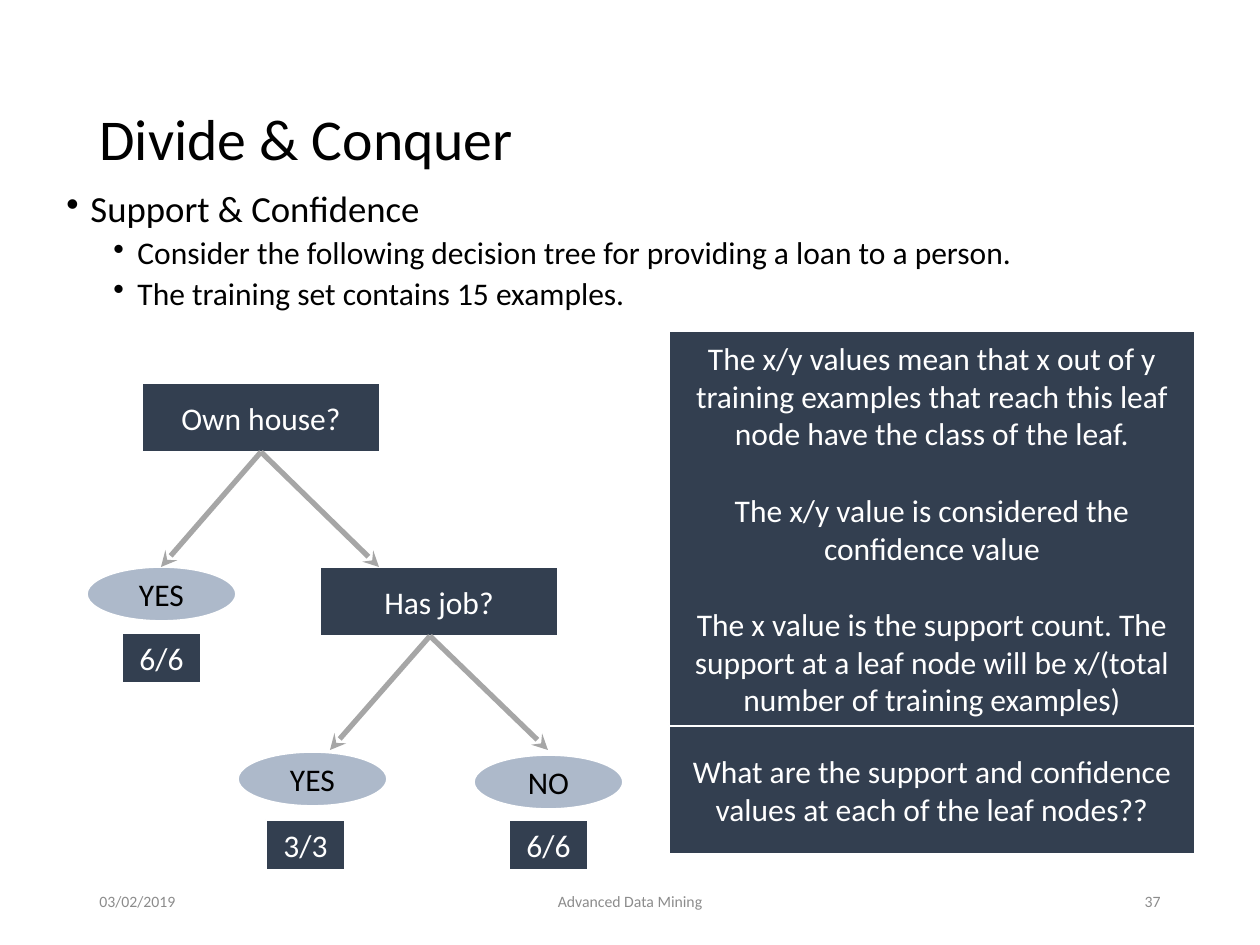
from pptx import Presentation
from pptx.dml.color import RGBColor as RGB
from pptx.enum.shapes import MSO_CONNECTOR as LINE, MSO_SHAPE as SHAPE
from pptx.enum.text import MSO_ANCHOR as ANCHOR, PP_ALIGN as ALIGN
from pptx.util import Pt
from lxml import etree

THEME = {
    "font": "Calibri",
    "ink": RGB.from_string("000000"),
    "paper": RGB.from_string("FFFFFF"),
    "navy": RGB.from_string("333F50"),
    "leaf": RGB.from_string("ADB9CA"),
    "arrow": RGB.from_string("A6A6A6"),
    "grey": RGB.from_string("8C8C8C"),
    "title": 33, "lead": 21, "body": 18, "foot": 9,
}
NS = "{http://schemas.openxmlformats.org/drawingml/2006/main}"


def px(*vals):
    return [round(v * 914400 / 126) for v in vals]


def write(shape, lines, size, color, align, gap=0):
    frame = shape.text_frame
    frame.word_wrap = True
    frame.vertical_anchor = ANCHOR.MIDDLE
    for i, line in enumerate(lines):
        para = frame.paragraphs[0] if i == 0 else frame.add_paragraph()
        para.text = line
        para.alignment = align
        para.font.name = THEME["font"]
        para.font.size = Pt(THEME[size])
        para.font.color.rgb = THEME[color]
        if i:
            para.space_before = Pt(gap)
    return frame


deck = Presentation()
deck.slide_width, deck.slide_height = px(1260, 945)
slide = deck.slides.add_slide(deck.slide_layouts[6])
shapes = slide.shapes

# Title
box = shapes.add_textbox(*px(87, 50, 1086, 183))
frame = write(box, ["Divide & Conquer"], "title", "ink", ALIGN.LEFT)
frame.paragraphs[0].line_spacing = 0.9

# Bullets
points = [
    ("Support & Confidence", "lead", 24, 7.5),
    ("Consider the following decision tree for providing a loan to a person.",
     "body", 71, 3.8),
    ("The training set contains 15 examples.", "body", 71, 3.8),
]
box = shapes.add_textbox(*px(54, 185, 1143, 662))
frame = write(box, [p[0] for p in points], "body", "ink", ALIGN.LEFT)
frame.vertical_anchor = ANCHOR.TOP
for para, (_, size, left, gap) in zip(frame.paragraphs, points):
    para.level = 0 if size == "lead" else 1
    para.font.size = Pt(THEME[size])
    para.line_spacing = 0.9
    para.space_before = Pt(gap)
    props = para._p.get_or_add_pPr()
    margin, hang = px(left, -24)
    props.set("marL", str(margin))
    props.set("indent", str(hang))
    mark = etree.Element(NS + "buChar", char="•")
    props.find(NS + "defRPr").addprevious(mark)

# Footer
for text, left, width, align in [
    ("03/02/2019", 87, 284, ALIGN.LEFT),
    ("Advanced Data Mining", 417, 426, ALIGN.CENTER),
    ("37", 889, 284, ALIGN.RIGHT),
]:
    box = shapes.add_textbox(*px(left, 876, width, 50))
    write(box, [text], "foot", "grey", align)

# Tree nodes, leaf counts and notes
notes = [
    "The x/y values mean that x out of y training examples that reach "
    "this leaf node have the class of the leaf.",
    "The x/y value is considered the confidence value",
    "The x value is the support count. The support at a leaf node will be "
    "x/(total number of training examples)",
]
ask = "What are the support and confidence values at each of the leaf nodes??"
test, leaf, count = (238, 69), (149, 54), (79, 50)
nodes = []
for lines, spot, size, kind, fill, color in [
    (["Own house?"], (142, 383), test, SHAPE.RECTANGLE, "navy", "paper"),
    (["Has job?"], (320, 567), test, SHAPE.RECTANGLE, "navy", "paper"),
    (["YES"], (87, 567), leaf, SHAPE.OVAL, "leaf", "ink"),
    (["YES"], (238, 752), leaf, SHAPE.OVAL, "leaf", "ink"),
    (["NO"], (474, 755), leaf, SHAPE.OVAL, "leaf", "ink"),
    (["6/6"], (122, 633), count, SHAPE.RECTANGLE, "navy", "paper"),
    (["3/3"], (266, 820), count, SHAPE.RECTANGLE, "navy", "paper"),
    (["6/6"], (509, 820), count, SHAPE.RECTANGLE, "navy", "paper"),
    (notes, (669, 331), (526, 395), SHAPE.RECTANGLE, "navy", "paper"),
    ([ask], (669, 726), (526, 128), SHAPE.RECTANGLE, "navy", "paper"),
]:
    node = shapes.add_shape(kind, *px(*spot, *size))
    node.shadow.inherit = False
    node.fill.solid()
    node.fill.fore_color.rgb = THEME[fill]
    node.line.color.rgb = THEME["paper"]
    node.line.width = Pt(1)
    write(node, lines, "body", color, ALIGN.CENTER, gap=22)
    nodes.append(node)

# Branches
house = nodes[0]
for start, end, root in [
    ((261, 452), (161, 567), house),
    ((261, 452), (379, 567), house),
    ((430, 636), (330, 750), None),
    ((430, 636), (548, 750), None),
]:
    branch = shapes.add_connector(LINE.STRAIGHT, *px(*start, *end))
    if root is not None:
        branch.begin_connect(root, 2)
    branch.line.color.rgb = THEME["arrow"]
    branch.line.width = Pt(3)
    etree.SubElement(branch.line._get_or_add_ln(), NS + "tailEnd", type="stealth")
    etree.SubElement(branch._element.spPr, NS + "effectLst")

deck.save("out.pptx")
